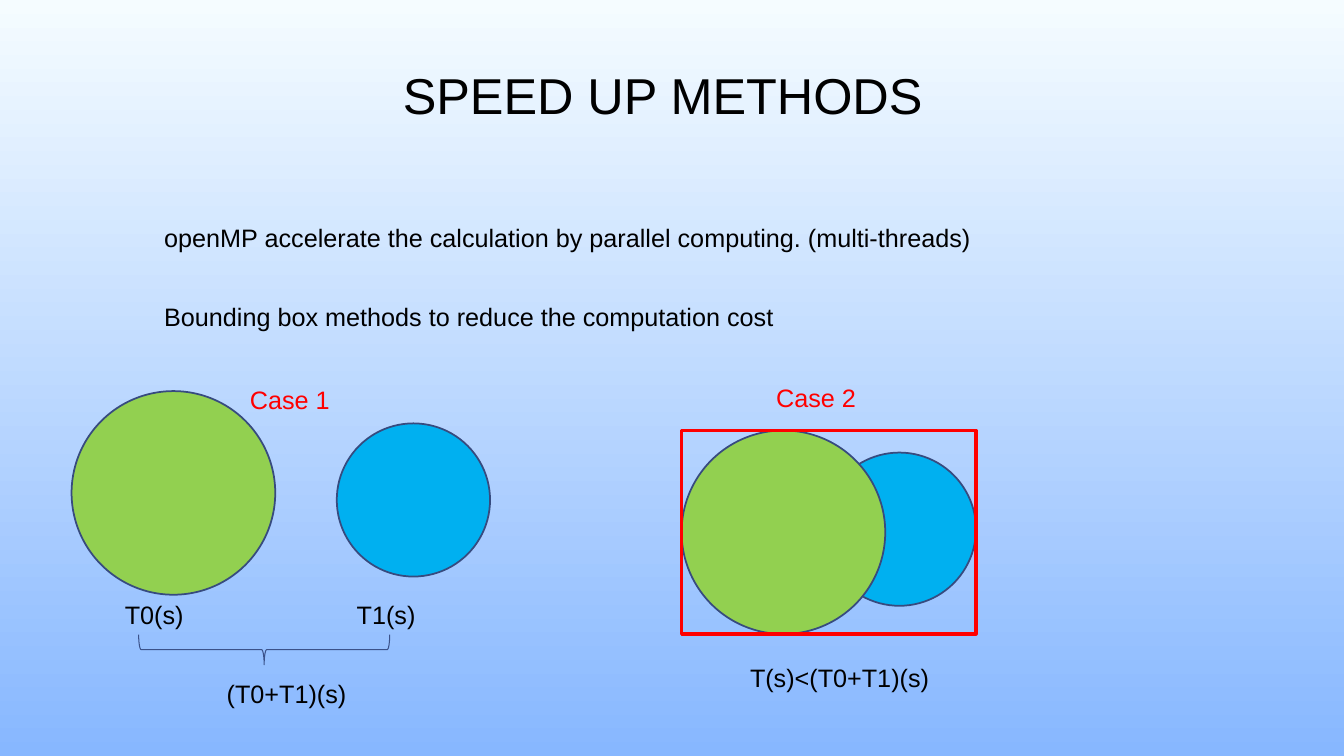
from dataclasses import dataclass

from pptx import Presentation
from pptx.dml.color import RGBColor as Rgb
from pptx.enum.shapes import MSO_SHAPE as Shape
from pptx.enum.text import MSO_ANCHOR as Anchor, PP_ALIGN as Align
from pptx.util import Pt

PX = 9144


@dataclass(frozen=True)
class Theme:
    """Colours, font and type sizes of the slide."""
    font: str = "Arial"
    title: int = 36
    body: int = 18
    ink: str = "000000"
    accent: str = "FF0000"
    green: str = "92D050"
    blue: str = "00B0F0"
    outline: str = "374B7F"
    brace: str = "3B528A"
    sky: tuple = ("F5FCFF", "87B7FF")


THEME = Theme()
LARGE, SMALL = 202, 152
LABEL_HEIGHT = 40


def emu(*lengths):
    """Turn px lengths into EMU."""
    return [length * PX for length in lengths]


def apply(target, formats):
    """Set each attribute named in formats on target."""
    for name, value in formats.items():
        setattr(target, name, value)


def add_text(page, box, text, size=THEME.body, color=THEME.ink, frame_format=None, para_format=None):
    """Write one line of text in a box."""
    frame = page.shapes.add_textbox(*emu(*box)).text_frame
    apply(frame, {"word_wrap": True, **(frame_format or {})})
    para = frame.paragraphs[0]
    apply(para, para_format or {})
    span = para.add_run()
    span.text = text
    apply(span.font, {"name": THEME.font, "size": Pt(size)})
    span.font.color.rgb = Rgb.from_string(color)


def add_figure(page, kind, box, line, width, fill=None, rotation=0):
    """Draw one outlined preset shape, hollow unless a fill is given."""
    figure = page.shapes.add_shape(kind, *emu(*box))
    figure.rotation = rotation
    figure.shadow.inherit = False
    if fill:
        figure.fill.solid()
        figure.fill.fore_color.rgb = Rgb.from_string(fill)
    else:
        figure.fill.background()
    figure.line.color.rgb = Rgb.from_string(line)
    figure.line.width = Pt(width)


def add_circle(page, left, top, size, fill):
    """Draw a filled circle of the given diameter."""
    add_figure(page, Shape.OVAL, (left, top, size, size), THEME.outline, 1.25, fill)


def paint_background(page):
    """Fill the page with a gradient running from top to bottom."""
    fill = page.background.fill
    fill.gradient()
    fill.gradient_angle = 270
    for stop, color, position in zip(fill.gradient_stops, THEME.sky, (0, 1)):
        stop.color.rgb = Rgb.from_string(color)
        stop.position = position


def add_title(page, box):
    """Centre the heading in its box."""
    add_text(page, box, "SPEED UP METHODS", THEME.title,
             frame_format={"vertical_anchor": Anchor.MIDDLE},
             para_format={"alignment": Align.CENTER, "line_spacing": 0.9})


def add_methods(page, box):
    """List the methods at an equal pitch."""
    left, top, width, height = box
    methods = ("openMP accelerate the calculation by parallel computing. (multi-threads)",
               "Bounding box methods to reduce the computation cost")
    for row, method in enumerate(methods):
        add_text(page, (left, top + row * height // len(methods), width, LABEL_HEIGHT), method)


def add_separate_case(page, box):
    """Show two apart circles whose times add up."""
    left, top, width, height = box
    add_circle(page, left, top + 12, LARGE, THEME.green)
    add_circle(page, left + width - SMALL, top + 44, SMALL, THEME.blue)
    add_figure(page, Shape.LEFT_BRACE, (left + 176, top + 144, 30, 249), THEME.brace, 0.75, rotation=270)
    labels = (("Case 1", 167, 0, 110, THEME.accent),
              ("T0(s)", 43, 214, 110, THEME.ink),
              ("T1(s)", 273, 214, 110, THEME.ink),
              ("(T0+T1)(s)", 144, height - LABEL_HEIGHT, 148, THEME.ink))
    for text, across, down, span_width, color in labels:
        add_text(page, (left + across, top + down, span_width, LABEL_HEIGHT), text, color=color)


def add_bounded_case(page, box):
    """Show two overlapping circles inside their bounding box."""
    left, top, width, height = box
    bounds_top = top + 53
    add_circle(page, left + width - SMALL, bounds_top + 22, SMALL, THEME.blue)
    add_circle(page, left, bounds_top, LARGE, THEME.green)
    add_figure(page, Shape.RECTANGLE, (left, bounds_top, width, LARGE), THEME.accent, 2.25)
    add_text(page, (left + 84, top, 110, LABEL_HEIGHT), "Case 2", color=THEME.accent)
    add_text(page, (left + 58, top + height - LABEL_HEIGHT, 212, LABEL_HEIGHT), "T(s)<(T0+T1)(s)")


def main():
    """Build the slide and save the deck."""
    deck = Presentation()
    deck.slide_width, deck.slide_height = emu(1333, 750)
    page = deck.slides.add_slide(deck.slide_layouts[6])
    paint_background(page)
    add_title(page, (91, 10, 1133, 175))
    add_methods(page, (153, 216, 834, 156))
    add_bounded_case(page, (676, 374, 292, 318))
    add_separate_case(page, (71, 376, 415, 332))
    deck.save("out.pptx")


if __name__ == "__main__":
    main()
